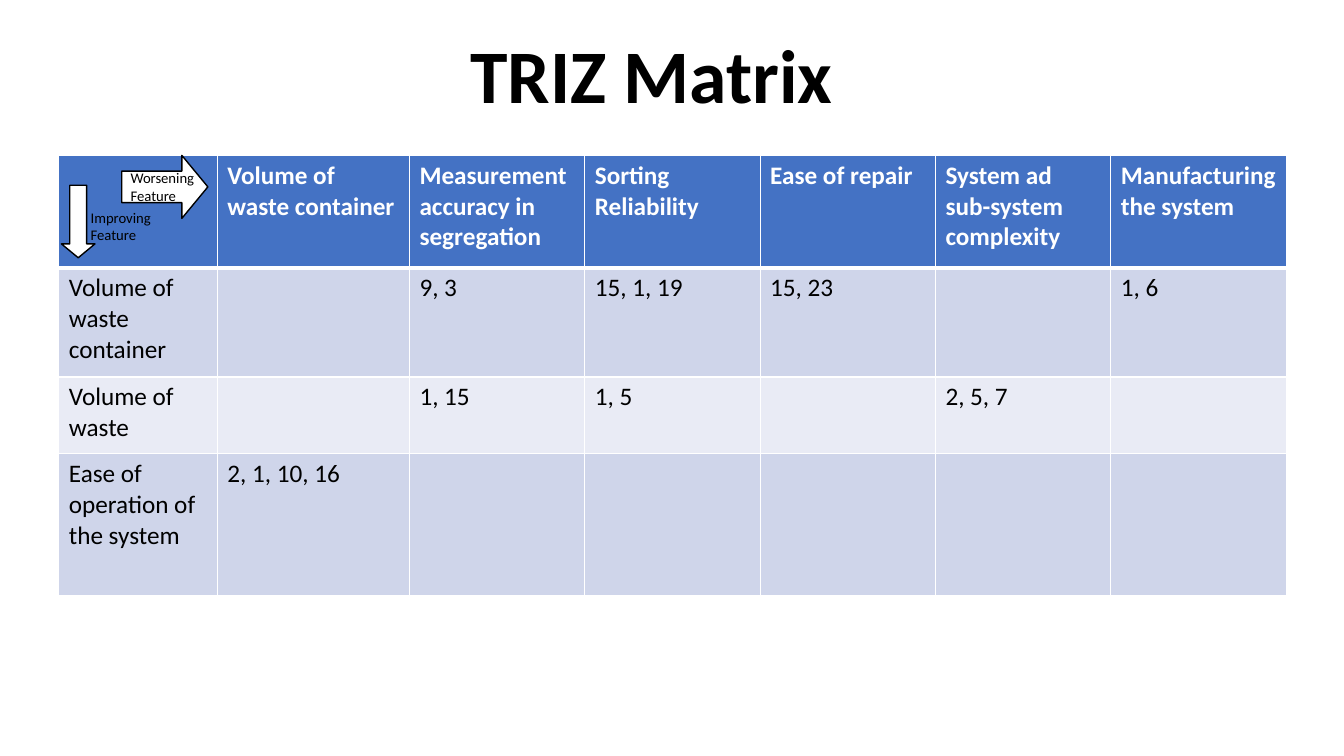
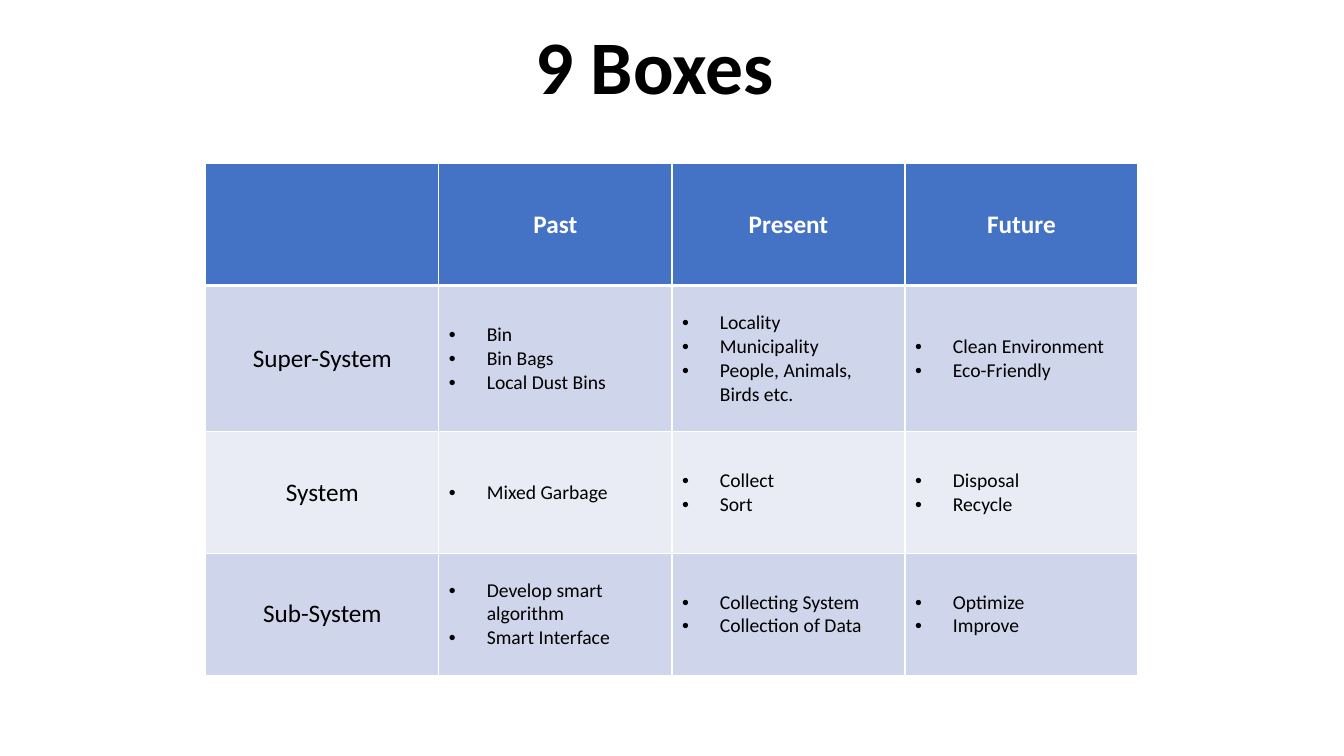
from lxml import etree
from pptx import Presentation
from pptx.dml.color import RGBColor
from pptx.enum.shapes import MSO_SHAPE
from pptx.enum.text import MSO_ANCHOR, PP_ALIGN
from pptx.oxml.ns import qn
from pptx.util import Pt

PX = 9525
FONT = "Calibri"
BLACK, WHITE, BLUE = "000000", "FFFFFF", "4472C4"
BANDS = ("CFD5EA", "E9EBF5")
CENTER, LEFT = PP_ALIGN.CENTER, PP_ALIGN.LEFT
TOP, MIDDLE, BOTTOM = MSO_ANCHOR.TOP, MSO_ANCHOR.MIDDLE, MSO_ANCHOR.BOTTOM
ARROW = MSO_SHAPE.RIGHT_ARROW
INDENT = 36

MATRIX = [
    ["", "Volume of waste container", "Measurement accuracy in segregation",
     "Sorting Reliability", "Ease of repair",
     "System ad sub-system complexity", "Manufacturing the system"],
    ["Volume of waste container", "", "9, 3", "15, 1, 19", "15, 23", "", "1, 6"],
    ["Volume of waste", "", "1, 15", "1, 5", "", "2, 5, 7", ""],
    ["Ease of operation of the system", "2, 1, 10, 16", "", "", "", "", ""],
]
BOXES = [
    ["", "Past", "Present", "Future"],
    ["Super-System",
     ["Bin", "Bin Bags", "Local Dust Bins"],
     ["Locality", "Municipality", "People, Animals, Birds etc."],
     ["Clean Environment", "Eco-Friendly"]],
    ["System", ["Mixed Garbage"], ["Collect", "Sort"], ["Disposal", "Recycle"]],
    ["Sub-System",
     ["Develop smart algorithm", "Smart Interface"],
     ["Collecting System", "Collection of Data"],
     ["Optimize", "Improve"]],
]


def rgb(code):
    return RGBColor.from_string(code)


def place(*lengths):
    return [n * PX for n in lengths]


def paint(thing, code):
    thing.fill.solid()
    thing.fill.fore_color.rgb = rgb(code)


def write(para, text, size, color=BLACK, bold=False):
    run = para.add_run()
    run.text = text
    font = run.font
    font.name, font.size, font.bold = FONT, Pt(size), bold
    font.color.rgb = rgb(color)


def label(slide, box, text, size, bold=False, align=LEFT, anchor=TOP):
    """Add a wrapped text box and return its paragraph."""
    frame = slide.shapes.add_textbox(*place(*box)).text_frame
    frame.word_wrap = True
    frame.vertical_anchor = anchor
    para = frame.paragraphs[0]
    para.alignment = align
    write(para, text, size, bold=bold)
    return para


def title(slide, x, y, text):
    para = label(slide, (x, y, 737, 90), text, 54, True, CENTER, BOTTOM)
    para.line_spacing = 0.9


def arrow(slide, box, turn=0):
    shape = slide.shapes.add_shape(ARROW, *place(*box))
    shape.shadow.inherit = False
    shape.rotation = turn
    shape.adjustments[1] = 0.413
    paint(shape, WHITE)
    shape.line.color.rgb = rgb(BLACK)
    shape.line.width = Pt(1)


def edges(cell, top, bottom):
    """Draw white cell borders; must run before the cell gets its fill."""
    props = cell._tc.get_or_add_tcPr()
    for side, width in zip("LRTB", (1, 1, top, bottom)):
        line = etree.SubElement(props, qn("a:ln" + side), w=str(Pt(width)))
        fill = etree.SubElement(line, qn("a:solidFill"))
        etree.SubElement(fill, qn("a:srgbClr"), val=WHITE)


def bullet(para):
    props = para._p.get_or_add_pPr()
    props.set("marL", str(INDENT * PX))
    props.set("indent", str(-INDENT * PX))
    etree.SubElement(props, qn("a:buFont"), typeface="Arial")
    etree.SubElement(props, qn("a:buChar"), char="•")


def fill_cell(cell, content, head, align):
    """Write a string as one plain line, or a list as bullets."""
    frame = cell.text_frame
    if isinstance(content, list):
        for i, item in enumerate(content):
            para = frame.add_paragraph() if i else frame.paragraphs[0]
            bullet(para)
            write(para, item, 14)
    elif content:
        para = frame.paragraphs[0]
        para.alignment = align
        write(para, content, 18, WHITE if head else BLACK, head)


def grid(slide, x, y, widths, heights, rows, align=LEFT, anchor=TOP):
    """Add a table with a blue head row and banded body rows."""
    box = place(x, y, sum(widths), sum(heights))
    table = slide.shapes.add_table(len(rows), len(widths), *box).table
    for col, width in zip(table.columns, widths):
        col.width = width * PX
    for r, (row, height) in enumerate(zip(rows, heights)):
        table.rows[r].height = height * PX
        head = r == 0
        for c, content in enumerate(row):
            cell = table.cell(r, c)
            cell.vertical_anchor = anchor
            edges(cell, 3 if r == 1 else 1, 3 if head else 1)
            paint(cell, BLUE if head else BANDS[(r - 1) % 2])
            fill_cell(cell, content, head, align)


def matrix(slide):
    title(slide, 252, 29, "TRIZ Matrix")
    grid(slide, 56, 148, [151, 183] + [167] * 5, [107, 104, 73, 135], MATRIX)
    arrow(slide, (40, 195, 69, 32), 90)
    arrow(slide, (116, 148, 82, 60))
    label(slide, (115, 156, 82, 43), "Worsening Feature", 10.5)
    label(slide, (77, 194, 82, 43), "Improving Feature", 10.5)


def boxes(slide):
    grid(slide, 196, 156, [222] * 4, [116, 139, 116, 116], BOXES, CENTER, MIDDLE)
    title(slide, 255, 20, "9 Boxes")


def main():
    deck = Presentation()
    deck.slide_width, deck.slide_height = place(1280, 720)
    for build in (matrix, boxes):
        build(deck.slides.add_slide(deck.slide_layouts[6]))
    deck.save("out.pptx")


if __name__ == "__main__":
    main()
